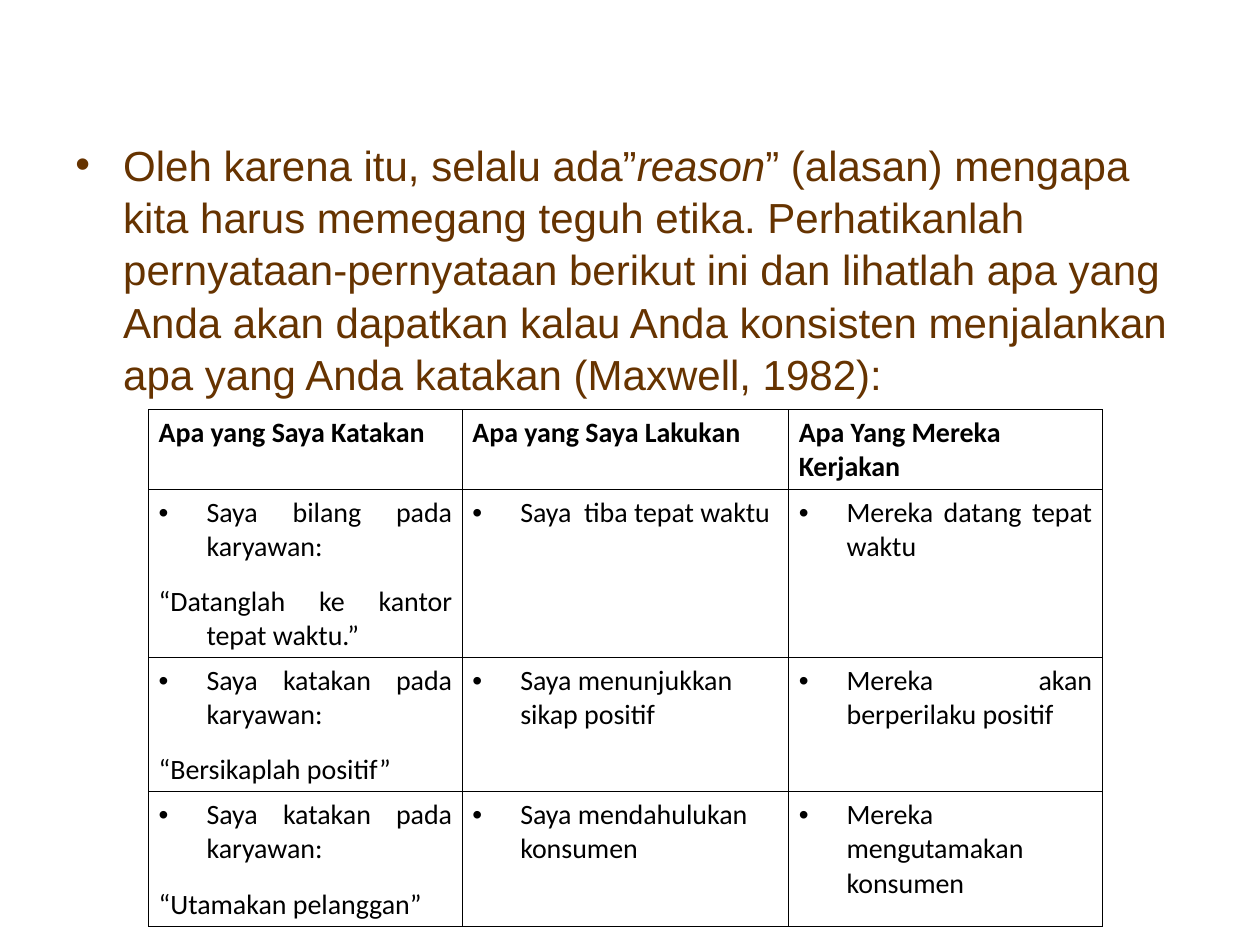
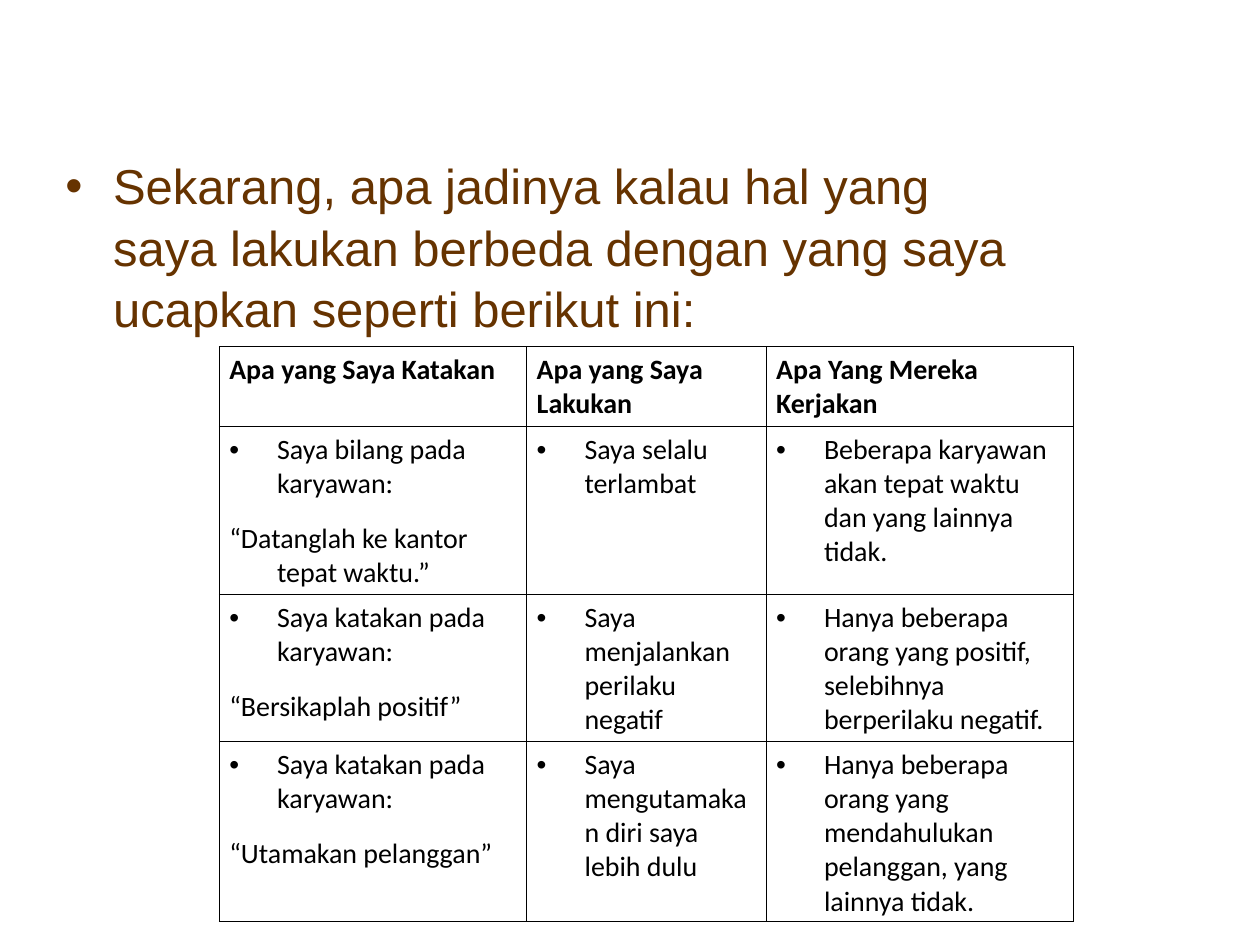
from lxml import etree
from pptx import Presentation
from pptx.dml.color import RGBColor
from pptx.enum.text import MSO_ANCHOR, PP_ALIGN as Align
from pptx.oxml.ns import qn
from pptx.util import Inches, Pt

BROWN, BLACK = "663300", "000000"
HEADERS = ["Apa yang Saya Katakan", "Apa yang Saya Lakukan", "Apa Yang Mereka Kerjakan"]
STATEMENTS = [
    ("Saya bilang pada karyawan:", "“Datanglah ke kantor tepat waktu.”"),
    ("Saya katakan pada karyawan:", "“Bersikaplah positif”"),
    ("Saya katakan pada karyawan:", "“Utamakan pelanggan”"),
]
CONSISTENT = [
    ("Saya  tiba tepat waktu", "Mereka datang tepat waktu"),
    ("Saya menunjukkan sikap positif", "Mereka akan berperilaku positif"),
    ("Saya mendahulukan konsumen", "Mereka mengutamakan konsumen"),
]
INCONSISTENT = [
    ("Saya selalu terlambat", "Beberapa karyawan akan tepat waktu dan yang lainnya tidak."),
    ("Saya menjalankan perilaku negatif",
     "Hanya beberapa orang yang positif, selebihnya berperilaku negatif."),
    ("Saya mengutamakan diri saya lebih dulu",
     "Hanya beberapa orang yang mendahulukan pelanggan, yang lainnya tidak."),
]


def rgb(value):
    """Turn a hex string into a colour."""
    return RGBColor.from_string(value)


def add_colour(parent, tag, value):
    """Append an element that holds one colour."""
    holder = etree.SubElement(parent, qn(tag))
    etree.SubElement(holder, qn("a:srgbClr"), val=value)


def write(paragraph, text, size=16, font="Calibri", colour=BLACK, bold=False, bullet=False,
          hanging=False, align=Align.LEFT, before=12, line_spacing=None):
    """Fill a paragraph; text between asterisks is italic."""
    paragraph.alignment = align
    paragraph.space_before = Pt(before)
    if line_spacing:
        paragraph.line_spacing = line_spacing
    properties = paragraph._p.get_or_add_pPr()
    if bullet or hanging:
        properties.set("marL", str(Inches(0.38)))
        properties.set("indent", str(-Inches(0.38)))
    if bullet:
        add_colour(properties, "a:buClr", colour)
        etree.SubElement(properties, qn("a:buFont"), typeface="Arial")
        etree.SubElement(properties, qn("a:buChar"), char="•")
    else:
        etree.SubElement(properties, qn("a:buNone"))
    for index, part in enumerate(text.split("*")):
        run = paragraph.add_run()
        run.text = part
        run.font.size = Pt(size)
        run.font.name = font
        run.font.bold = bold
        run.font.italic = index % 2 == 1
        run.font.color.rgb = rgb(colour)


def add_introduction(slide, box, text, size, before):
    """Place the large bulleted introduction in its box."""
    frame = slide.shapes.add_textbox(*map(Inches, box)).text_frame
    frame.word_wrap = True
    write(frame.paragraphs[0], text, size=size, font="Arial", colour=BROWN, bullet=True,
          before=before, line_spacing=1.04)


def style_cell(cell):
    """Give a cell its margins, thin black borders and no fill."""
    cell.margin_left = cell.margin_right = Inches(0.08)
    cell.margin_top = cell.margin_bottom = Inches(0.05)
    cell.vertical_anchor = MSO_ANCHOR.TOP
    properties = cell._tc.get_or_add_tcPr()
    for side in ("L", "R", "T", "B"):
        border = etree.SubElement(properties, qn(f"a:ln{side}"), w=str(Pt(0.45)))
        add_colour(border, "a:solidFill", BLACK)
    cell.fill.background()


def add_comparison(slide, left, top, widths, heights, responses, justified=()):
    """Draw the table of words, deeds and results."""
    table = slide.shapes.add_table(len(heights), len(widths), Inches(left), Inches(top),
                                   Inches(sum(widths)), Inches(sum(heights))).table
    table.first_row = table.horz_banding = False
    for column, width in zip(table.columns, widths):
        column.width = Inches(width)
    for row, height in zip(table.rows, heights):
        row.height = Inches(height)
    for cell in table.iter_cells():
        style_cell(cell)
    for column, header in enumerate(HEADERS):
        write(table.cell(0, column).text_frame.paragraphs[0], header, bold=True)
    for row, (statement, response) in enumerate(zip(STATEMENTS, responses), start=1):
        lead, quote = statement
        for column, text in enumerate((lead, *response)):
            align = Align.JUSTIFY if column in justified else Align.LEFT
            frame = table.cell(row, column).text_frame
            write(frame.paragraphs[0], text, bullet=True, align=align)
            if column == 0:
                write(frame.add_paragraph(), quote, hanging=True, align=align)


def build_consistent(slide):
    """Build the slide on doing what one says."""
    add_introduction(
        slide, (0.5, 1.04, 9, 2.3),
        "Oleh karena itu, selalu ada”*reason*” (alasan) mengapa kita harus memegang teguh "
        "etika. Perhatikanlah pernyataan-pernyataan berikut ini dan lihatlah apa yang Anda "
        "akan dapatkan kalau Anda konsisten menjalankan apa yang Anda katakan "
        "(Maxwell, 1982):", 24, 6)
    add_comparison(slide, 1.18, 3.25, (2.49, 2.59, 2.49), (0.53, 1.23, 0.97, 0.97),
                   CONSISTENT, justified=(0, 2))


def build_inconsistent(slide):
    """Build the slide on doing otherwise than one says."""
    add_comparison(slide, 1.74, 2.75, (2.44, 1.9, 2.44), (0.53, 1.23, 1.07, 1.33),
                   INCONSISTENT)
    add_introduction(
        slide, (0.42, 1.17, 7.83, 1.67),
        "Sekarang, apa jadinya kalau hal yang saya lakukan berbeda dengan yang saya ucapkan "
        "seperti berikut ini:", 28, 7)


def main():
    """Build and save the presentation."""
    presentation = Presentation()
    presentation.slide_width, presentation.slide_height = Inches(10), Inches(7.5)
    for build in (build_consistent, build_inconsistent):
        build(presentation.slides.add_slide(presentation.slide_layouts[6]))
    presentation.save("out.pptx")


if __name__ == "__main__":
    main()
